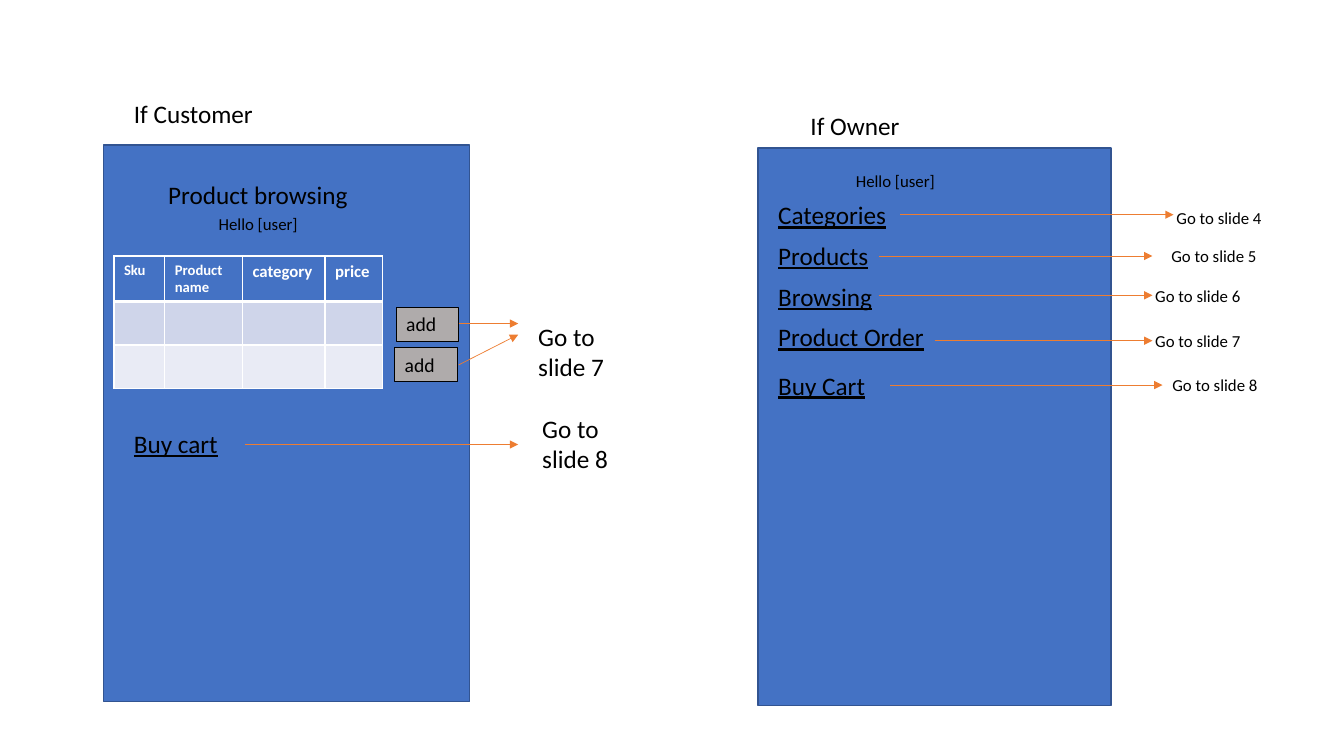
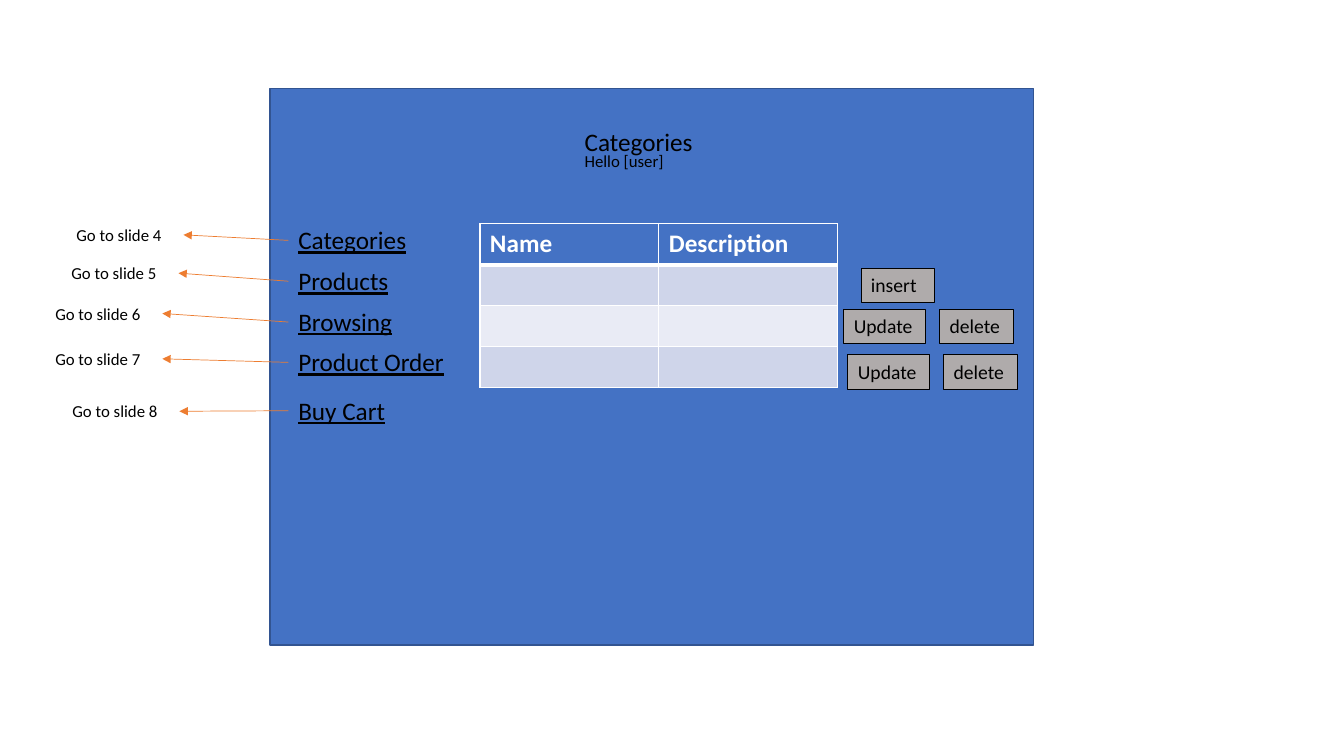
from lxml.etree import SubElement
from pptx import Presentation
from pptx.dml.color import RGBColor
from pptx.enum.shapes import MSO_CONNECTOR, MSO_SHAPE
from pptx.enum.text import MSO_ANCHOR, MSO_AUTO_SIZE, PP_ALIGN
from pptx.oxml import parse_xml
from pptx.oxml.ns import nsdecls, qn
from pptx.util import Inches, Pt

COLORS = {
    "panel": "4472C4", "panel_line": "325491", "button": "AFABAB",
    "text": "000000", "white": "FFFFFF", "arrow": "ED7D31",
    "band_dark": "CFD5EA", "band_light": "E9EBF5",
}
FONT = "Calibri"
CELL = Inches(0.1)  # one grid column or row
LINE_H = {12: 3, 14: 3.4, 18: 4.05}  # box height in rows by text size

MENU = ["Categories", "Products", "Browsing", "Product Order", "Buy Cart"]
MENU_ROWS = [0, 4.05, 8.1, 12.1, 16.9]  # offsets from the first entry
TARGETS = [4, 5, 6, 7, 8]
TARGET_COLS = [2.1, 1.6, 0, 0, 1.7]  # offsets from the leftmost target
TARGET_W = 11.6


def grid(*lengths):
    return [round(n * CELL) for n in lengths]


def rgb(name):
    return RGBColor.from_string(COLORS[name])


class Deck:
    def __init__(self, prs):
        self.prs = prs
        self.s = None

    def slide(self):
        self.s = self.prs.slides.add_slide(self.prs.slide_layouts[6])

    def style(self, tf, size, color="text", bold=False, underline=False):
        for p in tf.paragraphs:
            p.alignment = PP_ALIGN.LEFT
            for r in p.runs:
                r.font.name, r.font.size = FONT, Pt(size)
                r.font.bold, r.font.underline = bold, underline
                r.font.color.rgb = rgb(color)

    def rect(self, x, y, w, h, fill, line, weight):
        sp = self.s.shapes.add_shape(MSO_SHAPE.RECTANGLE, *grid(x, y, w, h))
        sp.shadow.inherit = False
        sp.fill.solid()
        sp.fill.fore_color.rgb = rgb(fill)
        sp.line.color.rgb = rgb(line)
        sp.line.width = Pt(weight)
        return sp

    def label(self, sp, text, size, underline=False):
        tf = sp.text_frame
        tf.text = text
        tf.word_wrap = True
        tf.auto_size = MSO_AUTO_SIZE.SHAPE_TO_FIT_TEXT
        tf.vertical_anchor = MSO_ANCHOR.TOP
        self.style(tf, size, underline=underline)

    def panel(self, x, y, w, h):
        self.rect(x, y, w, h, "panel", "panel_line", 1)

    def button(self, x, y, w, text):
        sp = self.rect(x, y, w, LINE_H[14], "button", "text", 0.75)
        self.label(sp, text, 14)

    def text(self, x, y, w, text, size=18, underline=False, lines=1):
        h = LINE_H[size] + (lines - 1) * 3.05
        sp = self.s.shapes.add_textbox(*grid(x, y, w, h))
        self.label(sp, text, size, underline)

    def greeting(self, x, y):
        self.text(x, y, 17.9, "Hello [user]", 12)

    def target(self, x, y, number, size=12, lines=1):
        self.text(x, y, TARGET_W, f"Go to slide {number} ", size, lines=lines)

    def arrow(self, x1, y1, x2, y2):
        c = self.s.shapes.add_connector(MSO_CONNECTOR.STRAIGHT,
                                        *grid(x1, y1, x2, y2))
        c.line.color.rgb = rgb("arrow")
        c.line.width = Pt(0.5)
        sp_pr = c._element.spPr
        SubElement(sp_pr.find(qn("a:ln")), qn("a:tailEnd"), type="triangle")
        SubElement(sp_pr, qn("a:effectLst"))

    def menu(self, x, y):
        for entry, dy in zip(MENU, MENU_ROWS):
            self.text(x, y + dy, 21.9, entry, underline=True)

    def targets(self, x, rows):
        for number, dx, y in zip(TARGETS, TARGET_COLS, rows):
            self.target(x + dx, y, number)

    def borders(self, cell, header):
        tc_pr = cell._tc.get_or_add_tcPr()
        for i, side in enumerate("LRTB"):
            width = Pt(3 if header and side == "B" else 1)
            tc_pr.insert(i, parse_xml(
                f'<a:ln{side} {nsdecls("a")} w="{width}"><a:solidFill>'
                f'<a:srgbClr val="{COLORS["white"]}"/></a:solidFill></a:ln{side}>'))

    def table(self, x, y, widths, row_h, rows, heads):
        """heads holds (text, size) for each column."""
        frame = self.s.shapes.add_table(
            rows, len(widths), *grid(x, y, sum(widths), row_h * rows))
        tbl = frame.table
        for col, w in zip(tbl.columns, grid(*widths)):
            col.width = w
        for i, row in enumerate(tbl.rows):
            row.height = grid(row_h)[0]
            band = ("band_light", "band_dark")[i % 2] if i else "panel"
            for cell in row.cells:
                cell.fill.solid()
                cell.fill.fore_color.rgb = rgb(band)
                self.borders(cell, header=i == 0)
        for cell, (text, size) in zip(tbl.rows[0].cells, heads):
            cell.text_frame.text = text
            self.style(cell.text_frame, size, "white", bold=True)


prs = Presentation()
prs.slide_width, prs.slide_height = Inches(13.33), Inches(7.5)
deck = Deck(prs)

# Slide 1: start pages for customer and owner
deck.slide()
deck.panel(10.3, 14.4, 36.3, 55.2)
deck.panel(75.2, 14.7, 35, 55.3)
deck.text(12.3, 9.3, 30.8, "If Customer")
deck.text(79.4, 10.4, 30.8, "If Owner")

# Customer page
deck.text(15.7, 17.3, 23.5, "Product browsing")
deck.greeting(20.7, 20.7)
deck.table(11.3, 25.4, [5.05, 7.7, 8.2, 5.7], 4.33, 3,
           [("Sku", 10.5), ("Product name", 10.5), ("category", 12), ("price", 12)])
deck.text(12.3, 42, 21.9, "Buy cart", underline=True)
deck.button(39.3, 30.5, 6.2, "add")
deck.button(39.15, 34.5, 6.2, "add")
for x, y, end_y in [(45.5, 32.1, 32.1), (45.5, 36.2, 33.2), (24.3, 44.1, 44.1)]:
    deck.arrow(x, y, 51.4, end_y)
deck.target(52.4, 31.4, 7, 18, lines=2)
deck.target(52.8, 40.5, 8, 18, lines=2)

# Owner page
deck.greeting(83.9, 16.4)
deck.menu(76.2, 19.3)
for x, end_x, y in [(89.3, 116.4, 21.3), (87.2, 114.3, 25.4), (87.2, 114.3, 29.3),
                    (92.7, 114.3, 33.8), (88.3, 115.3, 38.2)]:
    deck.arrow(x, y, end_x, y)
deck.targets(113.6, [20.1, 23.9, 27.9, 32.3, 36.7])

# Slide 2: categories page
deck.slide()
deck.panel(26.8, 8.8, 75.7, 55.2)
deck.text(57, 12, 23.5, "Categories")
deck.greeting(57, 14.5)
deck.table(47.6, 22.2, [17.75, 17.75], 4.07, 4,
           [("Name", 18), ("Description", 18)])

# Row buttons
deck.button(85.4, 26.6, 7.3, "insert")
for x, y in [(83.7, 30.7), (84.1, 35.2)]:
    deck.button(x, y, 8.1, "Update ")
    deck.button(x + 9.5, y, 7.3, "delete")

# Menu with arrows to its targets
menu_x, menu_y, target_x = 28.6, 21.8, 4.5
target_rows = [21.8, 25.6, 29.6, 34.1, 39.3]
deck.menu(menu_x, menu_y)
for dy, dx, y in zip(MENU_ROWS, TARGET_COLS, target_rows):
    deck.arrow(menu_x, menu_y + dy + 2.05, target_x + dx + TARGET_W, y + 1.5)
deck.targets(target_x, target_rows)

prs.save("out.pptx")
